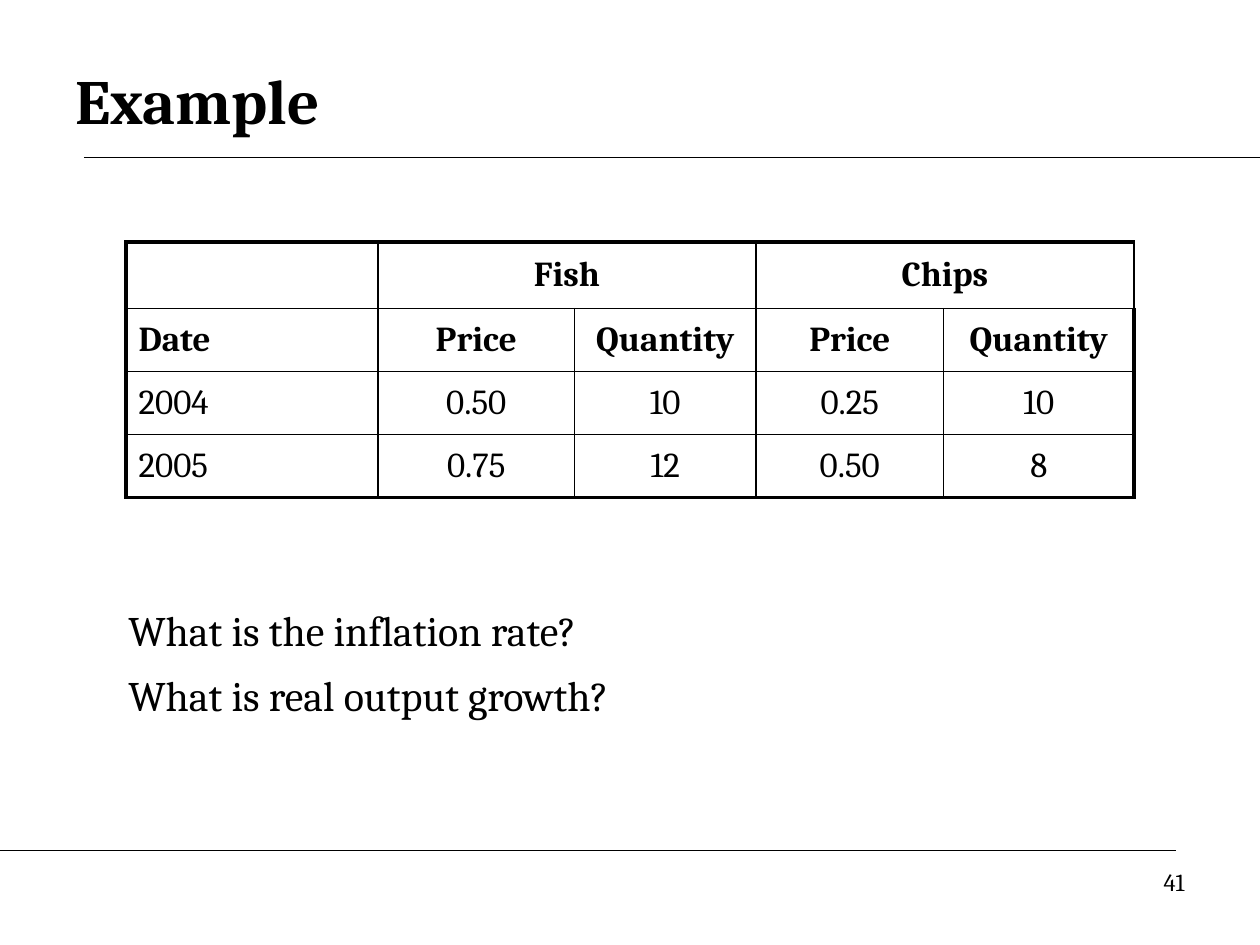
from dataclasses import dataclass

from lxml import etree
from pptx import Presentation
from pptx.dml.color import RGBColor
from pptx.enum.text import MSO_ANCHOR, PP_ALIGN
from pptx.oxml.ns import qn
from pptx.util import Inches, Pt

LEFT, CENTER, RIGHT = PP_ALIGN.LEFT, PP_ALIGN.CENTER, PP_ALIGN.RIGHT
TOP, MIDDLE = MSO_ANCHOR.TOP, MSO_ANCHOR.MIDDLE
WIDE, HIGH = 10, 7.5
BLANK = 6


@dataclass(frozen=True)
class Theme:
    font: str = "Cambria"
    ink: str = "000000"
    title: float = 36
    body: float = 24
    cell: float = 20
    page: float = 14
    gap: float = 8.5
    rule: float = 0.75
    thin: float = 1
    thick: float = 2.25


THEME = Theme()
COLS = [2, 1.56, 1.44, 1.49, 1.51]
ROWS = [0.53, 0.5, 0.5, 0.5]
DATA = [
    ["", "Fish", "", "Chips", ""],
    ["Date", "Price", "Quantity", "Price", "Quantity"],
    ["2004", "0.50", "10", "0.25", "10"],
    ["2005", "0.75", "12", "0.50", "8"],
]
HEADS = 2
ASKS = ["What is the inflation rate?", "What is real output growth?"]


def style(para, size, bold=False, align=LEFT):
    para.alignment = align
    for run in para.runs:
        run.font.name = THEME.font
        run.font.size = Pt(size)
        run.font.bold = bold
        run.font.color.rgb = RGBColor.from_string(THEME.ink)


def add_text(slide, box, lines, size, bold=False, align=LEFT, anchor=TOP):
    frame = slide.shapes.add_textbox(*map(Inches, box)).text_frame
    frame.word_wrap = True
    frame.vertical_anchor = anchor
    frame.text = "\n".join(lines)
    for i, para in enumerate(frame.paragraphs):
        style(para, size, bold, align)
        if i:
            para.space_before = Pt(THEME.gap)


def add_rule(slide, start, end, y):
    line = slide.shapes.add_connector(1, *map(Inches, (start, y, end, y)))
    line.line.color.rgb = RGBColor.from_string(THEME.ink)
    line.line.width = Pt(THEME.rule)
    etree.SubElement(line._element.spPr, qn("a:effectLst"))


def set_edges(cell, row, col):
    """Draw thick lines on the table's outside and thin ones within."""
    outer = {
        "a:lnL": col == 0,
        "a:lnR": col == len(COLS) - 1,
        "a:lnT": row == 0,
        "a:lnB": row == len(ROWS) - 1,
    }
    props = cell._tc.get_or_add_tcPr()
    for i, (tag, edge) in enumerate(outer.items()):
        width = Pt(THEME.thick if edge else THEME.thin)
        line = etree.Element(qn(tag), w=str(int(width)))
        fill = etree.SubElement(line, qn("a:solidFill"))
        etree.SubElement(fill, qn("a:srgbClr"), val=THEME.ink)
        props.insert(i, line)


def add_prices(slide, left, top):
    box = map(Inches, (left, top, sum(COLS), sum(ROWS)))
    table = slide.shapes.add_table(len(ROWS), len(COLS), *box).table
    table.first_row = table.horz_banding = False
    for col, width in zip(table.columns, COLS):
        col.width = Inches(width)
    for row, height in zip(table.rows, ROWS):
        row.height = Inches(height)
    for c in (1, 3):
        table.cell(0, c).merge(table.cell(0, c + 1))
    for r, texts in enumerate(DATA):
        for c, text in enumerate(texts):
            cell = table.cell(r, c)
            cell.fill.background()
            cell.vertical_anchor = MIDDLE
            if text:
                cell.text = text
                align = CENTER if c else LEFT
                style(cell.text_frame.paragraphs[0], THEME.cell, r < HEADS, align)
            set_edges(cell, r, c)


def add_head(slide, text):
    add_rule(slide, WIDE / 15, WIDE, HIGH / 6)
    box = (0.5, 0.33, WIDE * 0.9, 0.92)
    add_text(slide, box, [text], THEME.title, bold=True, anchor=MIDDLE)


def add_foot(slide, page):
    add_rule(slide, 0, WIDE * 14 / 15, HIGH * 0.9)
    add_text(slide, (7.17, 6.83, 2.33, 0.52), [page], THEME.page, align=RIGHT)


def main():
    deck = Presentation()
    deck.slide_width, deck.slide_height = Inches(WIDE), Inches(HIGH)
    slide = deck.slides.add_slide(deck.slide_layouts[BLANK])
    add_head(slide, "Example")
    add_prices(slide, WIDE * 0.1, 1.92)
    add_text(slide, (0.92, 4.75, 7.25, 1.1), ASKS, THEME.body)
    add_foot(slide, "41")
    deck.save("out.pptx")


if __name__ == "__main__":
    main()
